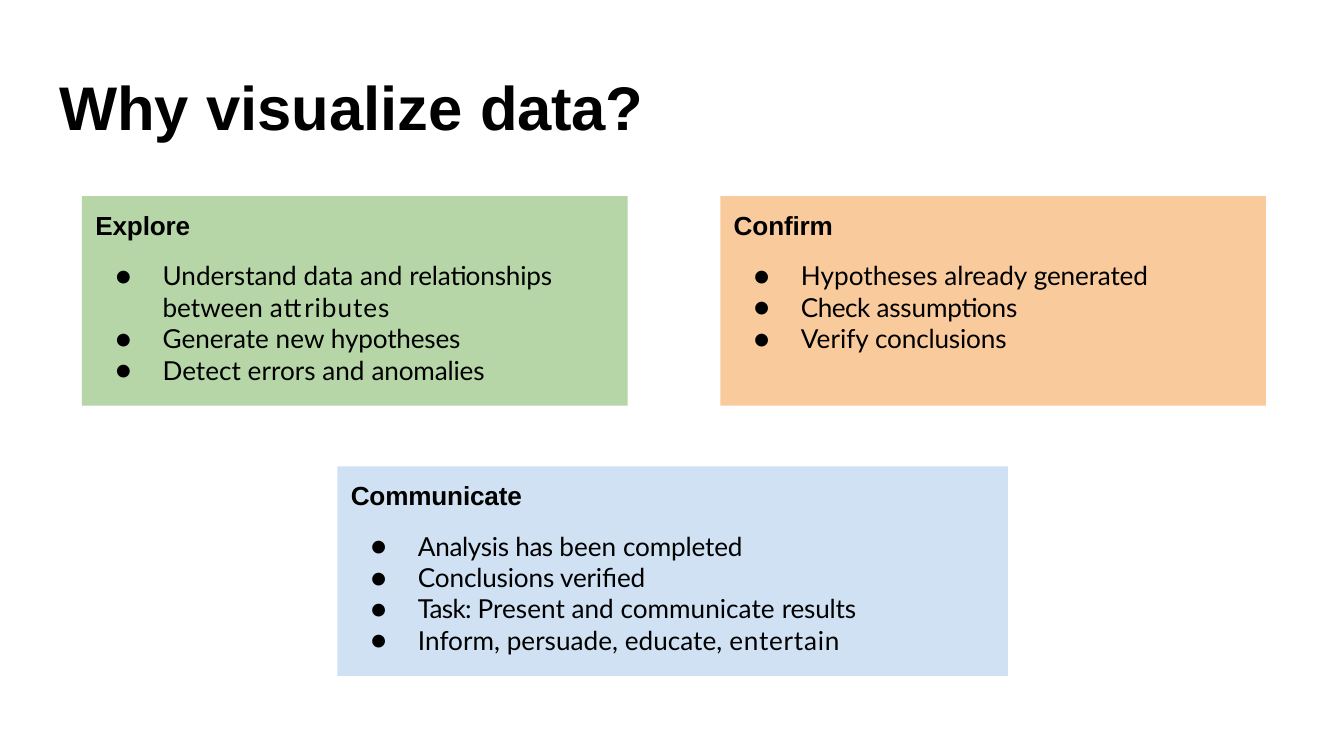
from lxml import etree
from pptx import Presentation
from pptx import util as u
from pptx.dml.color import RGBColor
from pptx.enum import shapes, text
from pptx.oxml.ns import qn

BLACK = RGBColor(0x00, 0x00, 0x00)
GREEN = RGBColor(0xB6, 0xD6, 0xA8)
BLUE = RGBColor(0xCF, 0xE1, 0xF3)
ORANGE = RGBColor(0xF8, 0xCA, 0x9C)

TITLE_FONT = {"name": "Arial", "size": u.Pt(33), "bold": True}
HEADING_FONT = {"name": "Arial", "size": u.Pt(14), "bold": True}
ITEM_FONT = {"name": "Lato", "size": u.Pt(14), "bold": False}

TOP_ROW, BOTTOM_ROW = 1.46, 3.47
SIDE_WIDTH, CENTRE_WIDTH = 4.06, 4.99
PANEL_HEIGHT = 1.56

# Each panel: heading, fill, left, top, width, items.
# An item is a list of (words, letter spacing in points).
PANELS = [
    ("Explore", GREEN, 0.61, TOP_ROW, SIDE_WIDTH, [
        [("Understand data and ", 0), ("relationships ", -0.1),
         ("between ", 0), ("attributes", 0.5)],
        [("Generate new ", 0), ("hypotheses", -0.1)],
        [("Detect errors and ", 0), ("anomalies", -0.1)],
    ]),
    ("Communicate", BLUE, 2.51, BOTTOM_ROW, CENTRE_WIDTH, [
        [("Analysis ", -0.2), ("has ", -0.3), ("been ", 0), ("completed", -0.1)],
        [("Conclusions verified", -0.1)],
        [("Task: ", -0.4), ("Present and communicate ", 0), ("results", -0.1)],
        [("Inform, persuade, educate, ", 0), ("entertain", 0.4)],
    ]),
    ("Confirm", ORANGE, 5.36, TOP_ROW, SIDE_WIDTH, [
        [("Hypotheses already ", 0), ("generated", -0.1)],
        [("Check ", -0.3), ("assumptions", -0.1)],
        [("Verify ", 0), ("conclusions", -0.1)],
    ]),
]


def format_frame(frame, top_inset):
    settings = {
        "margin_left": 0, "margin_right": 0, "margin_bottom": 0,
        "margin_top": u.Inches(top_inset), "word_wrap": True,
        "auto_size": text.MSO_AUTO_SIZE.NONE,
        "vertical_anchor": text.MSO_ANCHOR.TOP,
    }
    for key, value in settings.items():
        setattr(frame, key, value)


def write_runs(paragraph, runs, font):
    paragraph.alignment = text.PP_ALIGN.LEFT
    for words, spacing in runs:
        run = paragraph.add_run()
        run.text = words
        for key, value in font.items():
            setattr(run.font, key, value)
        run.font.color.rgb = BLACK
        if spacing:
            run._r.get_or_add_rPr().set("spc", str(round(spacing * 100)))


def indent(paragraph, left, first_line=0, bullet=None):
    properties = paragraph._p.get_or_add_pPr()
    properties.set("marL", str(u.Inches(left)))
    properties.set("indent", str(u.Inches(first_line)))
    if bullet:
        etree.SubElement(properties, qn("a:buFont")).set("typeface", ITEM_FONT["name"])
        etree.SubElement(properties, qn("a:buChar")).set("char", bullet)


def add_title(slide):
    title = slide.shapes.title
    title.left, title.top = u.Inches(0.43), u.Inches(0.5)
    title.width, title.height = u.Inches(7.92), u.Inches(0.58)
    format_frame(title.text_frame, 0.01)
    heading = title.text_frame.paragraphs[0]
    heading.space_before = u.Pt(1)
    indent(heading, 0.01)
    write_runs(heading, [("Why visualize ", 0), ("data?", -0.1)], TITLE_FONT)


def add_panel(slide, heading, fill, left, top, width, items):
    panel = slide.shapes.add_shape(
        shapes.MSO_SHAPE.RECTANGLE, u.Inches(left), u.Inches(top),
        u.Inches(width), u.Inches(PANEL_HEIGHT))
    panel.shadow.inherit = False
    panel.fill.solid()
    panel.fill.fore_color.rgb = fill
    panel.line.fill.background()

    frame = panel.text_frame
    format_frame(frame, 0.1)
    heading_line = frame.paragraphs[0]
    heading_line.space_before = u.Pt(7.2)
    indent(heading_line, 0.1)
    write_runs(heading_line, [(heading, -0.1)], HEADING_FONT)

    for position, item in enumerate(items):
        item_line = frame.add_paragraph()
        item_line.space_before = u.Pt(0 if position else 10.1)
        indent(item_line, 0.6, -0.35, "●")
        write_runs(item_line, item, ITEM_FONT)


def main():
    deck = Presentation()
    deck.slide_width = u.Inches(10)
    deck.slide_height = deck.slide_width * 9 // 16
    slide = deck.slides.add_slide(deck.slide_layouts.get_by_name("Title Only"))
    add_title(slide)
    for panel in PANELS:
        add_panel(slide, *panel)
    deck.save("out.pptx")


if __name__ == "__main__":
    main()
